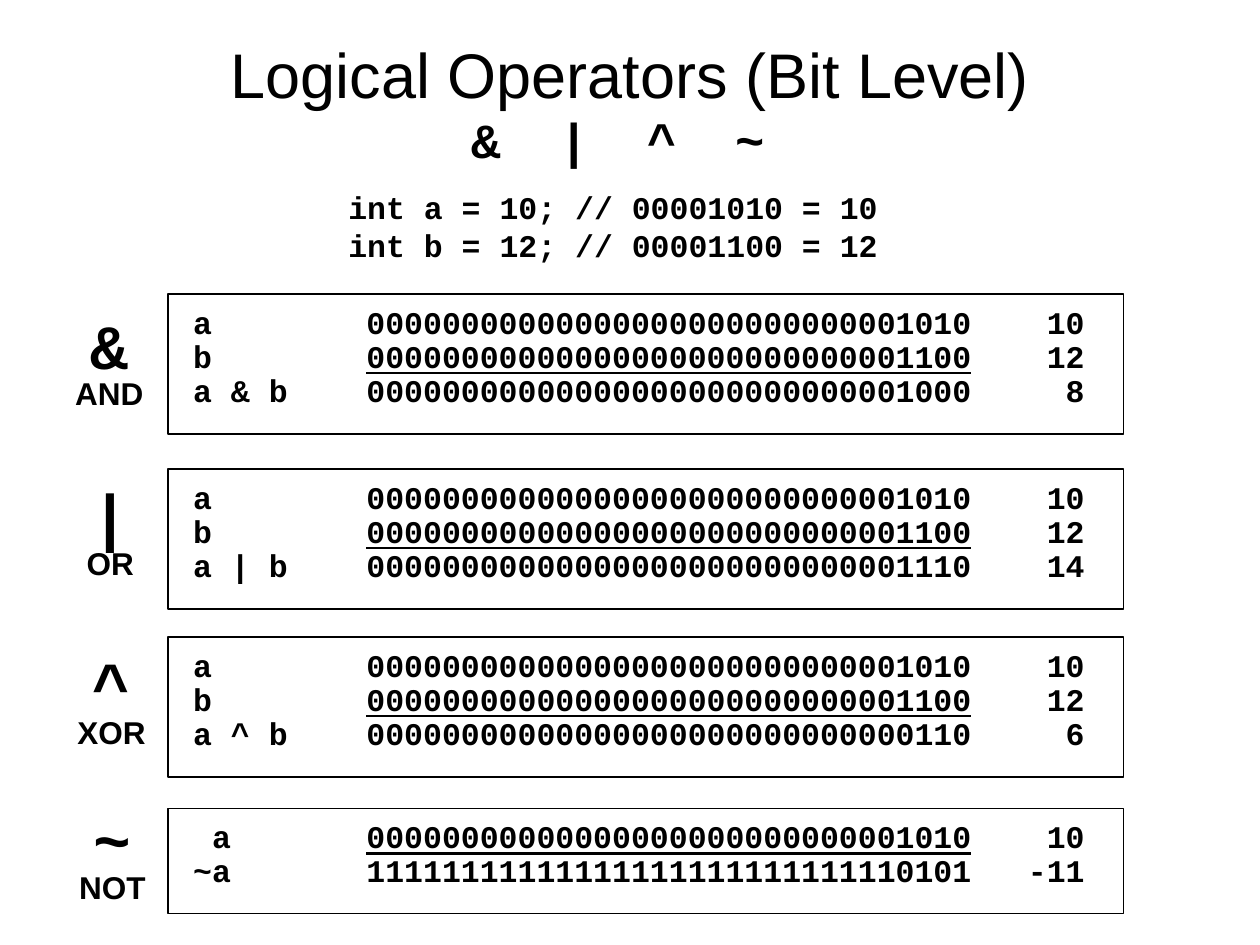
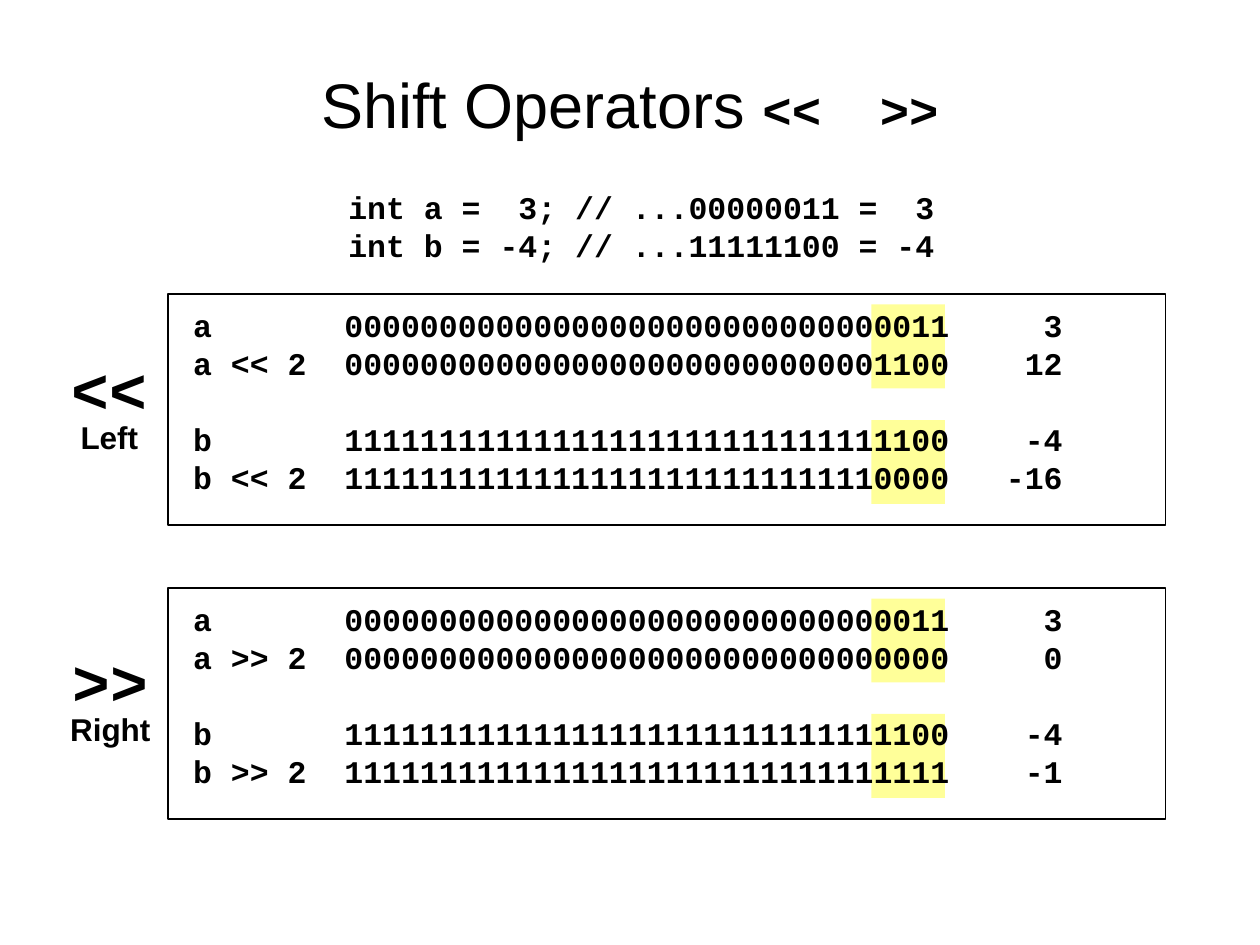
from lxml.etree import SubElement
from pptx import Presentation
from pptx.dml.color import RGBColor
from pptx.enum.shapes import MSO_SHAPE
from pptx.enum.text import MSO_ANCHOR, MSO_AUTO_SIZE, PP_ALIGN
from pptx.oxml.ns import qn
from pptx.util import Pt

COLORS = {"ink": "000000", "highlight": "FFFF99"}
SANS, MONO = "Arial", "Courier New"
TITLE_SIZE, OPERATOR_SIZE, BODY_SIZE = 36, 28, 18
CHAR_WIDTH = 10.8  # one monospaced character at body size
LINE_GAP = 4.5
PANEL_LEFT, PANEL_TOP = 96, 168


def color(name):
    return RGBColor.from_string(COLORS[name])


# Text helpers
def add_run(paragraph, text, size=BODY_SIZE, font=MONO, bold=True, underline=False):
    run = paragraph.add_run()
    run.text = text
    run.font.size = Pt(size)
    run.font.name = font
    run.font.bold = bold
    run.font.underline = underline
    run.font.color.rgb = color("ink")


def add_paragraph(frame, first, spacing=0.8, before=0, align=PP_ALIGN.LEFT):
    paragraph = frame.paragraphs[0] if first else frame.add_paragraph()
    paragraph.line_spacing = spacing
    paragraph.space_before = Pt(before)
    paragraph.alignment = align
    return paragraph


def add_tabs(paragraph, stops):
    tabs = SubElement(paragraph._p.get_or_add_pPr(), qn("a:tabLst"))
    for position, align in stops:
        SubElement(tabs, qn("a:tab"), pos=str(Pt(position)), algn=align)


def add_text_frame(slide, left, top, width, height, wrap=True):
    box = slide.shapes.add_textbox(Pt(left), Pt(top), Pt(width), Pt(height))
    box.text_frame.word_wrap = wrap
    return box.text_frame


def add_rectangle(slide, left, top, width, height):
    rectangle = slide.shapes.add_shape(
        MSO_SHAPE.RECTANGLE, Pt(left), Pt(top), Pt(width), Pt(height))
    rectangle.shadow.inherit = False
    return rectangle


# Parts of a slide
def add_title(slide, heading, operators, two_lines=False):
    frame = add_text_frame(slide, 54, 30, 612, 66)
    frame.vertical_anchor = MSO_ANCHOR.MIDDLE
    paragraph = add_paragraph(frame, True, align=PP_ALIGN.CENTER)
    add_run(paragraph, heading, TITLE_SIZE, SANS, bold=False)
    if two_lines:
        paragraph.add_line_break()
        add_run(paragraph, " ", OPERATOR_SIZE, SANS, bold=False)
    add_run(paragraph, operators, OPERATOR_SIZE)
    if two_lines:
        add_run(paragraph, " ", TITLE_SIZE)


def add_declarations(slide, lines):
    frame = add_text_frame(slide, 192, 108, 354, 48)
    for index, line in enumerate(lines):
        add_run(add_paragraph(frame, index == 0, before=LINE_GAP), line)


def add_operator_label(slide, symbol, name, left, top, width):
    frame = add_text_frame(slide, left, top, width, 59, wrap=False)
    frame.auto_size = MSO_AUTO_SIZE.SHAPE_TO_FIT_TEXT
    add_run(add_paragraph(frame, True, align=PP_ALIGN.CENTER), symbol, TITLE_SIZE)
    add_run(add_paragraph(frame, False, align=PP_ALIGN.CENTER), name, font=SANS)


def add_panel(slide, top, width, height):
    panel = add_rectangle(slide, PANEL_LEFT, top, width, height)
    panel.fill.background()
    panel.line.color.rgb = color("ink")
    panel.line.width = Pt(0.75)
    frame = panel.text_frame
    frame.word_wrap = True
    frame.vertical_anchor = MSO_ANCHOR.TOP
    frame.margin_left = frame.margin_right = Pt(14.4)
    frame.margin_top = frame.margin_bottom = Pt(10.8)
    return frame


def add_bit_row(paragraph, expression, value, bits_at, underline=False):
    """Expression, its 32 bits in two's complement, and its decimal value."""
    add_tabs(paragraph, [(bits_at, "l"), (bits_at + 38 * CHAR_WIDTH, "r")])
    add_run(paragraph, expression + "\t")
    add_run(paragraph, format(value & 0xFFFFFFFF, "032b"), underline=underline)
    add_run(paragraph, f"\t{value}")


def add_logic_panel(slide, top, height, rows):
    frame = add_panel(slide, top, 546, height)
    for index, (expression, value) in enumerate(rows):
        paragraph = add_paragraph(frame, index == 0, 0.7, LINE_GAP)
        last_operand = index == len(rows) - 2
        add_bit_row(paragraph, expression, value, 99, underline=last_operand)


def add_shift_panel(slide, top, rows):
    frame = add_panel(slide, top, 570, 132)
    for index, (expression, value) in enumerate(rows):
        before = 26.2 if index == 2 else LINE_GAP  # one line between the pairs
        paragraph = add_paragraph(frame, index == 0, before=before)
        add_bit_row(paragraph, expression, value, 8 * CHAR_WIDTH)


def add_low_bits_highlight(slide, top):
    highlight = add_rectangle(slide, 498, top, 42, 48)
    highlight.fill.solid()
    highlight.fill.fore_color.rgb = color("highlight")
    highlight.line.fill.background()


# Slides
def build_logical_slide(slide):
    add_title(slide, "Logical Operators (Bit Level)", "&  |  ^  ~", two_lines=True)
    add_declarations(slide, ["int a = 10; // 00001010 = 10",
                             "int b = 12; // 00001100 = 12"])
    a, b = 10, 12
    # symbol, name, result, panel top, label left, top and width
    binary_operators = [
        ("&", "AND", a & b, PANEL_TOP, 35, 180, 55),
        ("|", "OR", a | b, 268, 41.5, 277, 43),
        ("^", "XOR", a ^ b, 364, 36.25, 373.5, 55),
    ]
    for symbol, name, result, top, *label_place in binary_operators:
        rows = [("a", a), ("b", b), (f"a {symbol} b", result)]
        add_logic_panel(slide, top, 80, rows)
        add_operator_label(slide, symbol, name, *label_place)
    add_logic_panel(slide, 462, 60, [(" a", a), ("~a", ~a)])
    add_operator_label(slide, "~", "NOT", 36.75, 462, 55)


def build_shift_slide(slide):
    panel_tops = [PANEL_TOP, 2 * PANEL_TOP]
    for top in panel_tops:
        for offset in (6, 72):
            add_low_bits_highlight(slide, top + offset)
    add_title(slide, "Shift Operators ", "<<  >>")
    add_declarations(slide, ["int a =  3; // ...00000011 =  3",
                             "int b = -4; // ...11111100 = -4"])
    a, b = 3, -4
    shifts = [
        ("<<", "Left", a << 2, b << 2, 33, 205, 59),
        (">>", "Right", a >> 2, b >> 2, 32, 372, 62),
    ]
    for top, (symbol, name, shifted_a, shifted_b, *label_place) in zip(panel_tops, shifts):
        add_shift_panel(slide, top, [("a", a), (f"a {symbol} 2", shifted_a),
                                     ("b", b), (f"b {symbol} 2", shifted_b)])
        add_operator_label(slide, symbol, name, *label_place)


def main():
    presentation = Presentation()
    presentation.slide_width, presentation.slide_height = Pt(720), Pt(540)
    blank = presentation.slide_layouts[6]
    for build in (build_logical_slide, build_shift_slide):
        build(presentation.slides.add_slide(blank))
    presentation.save("out.pptx")


if __name__ == "__main__":
    main()
